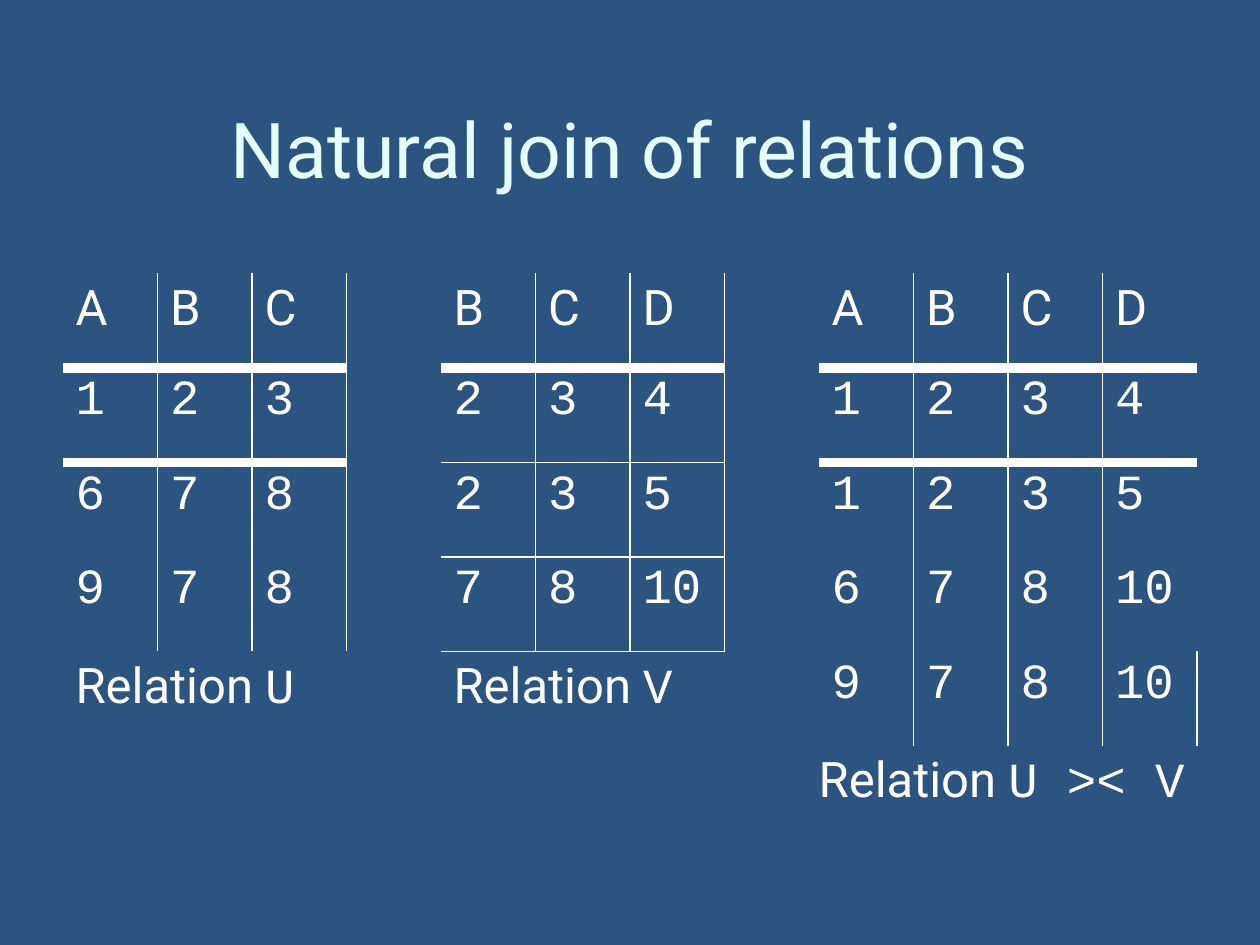
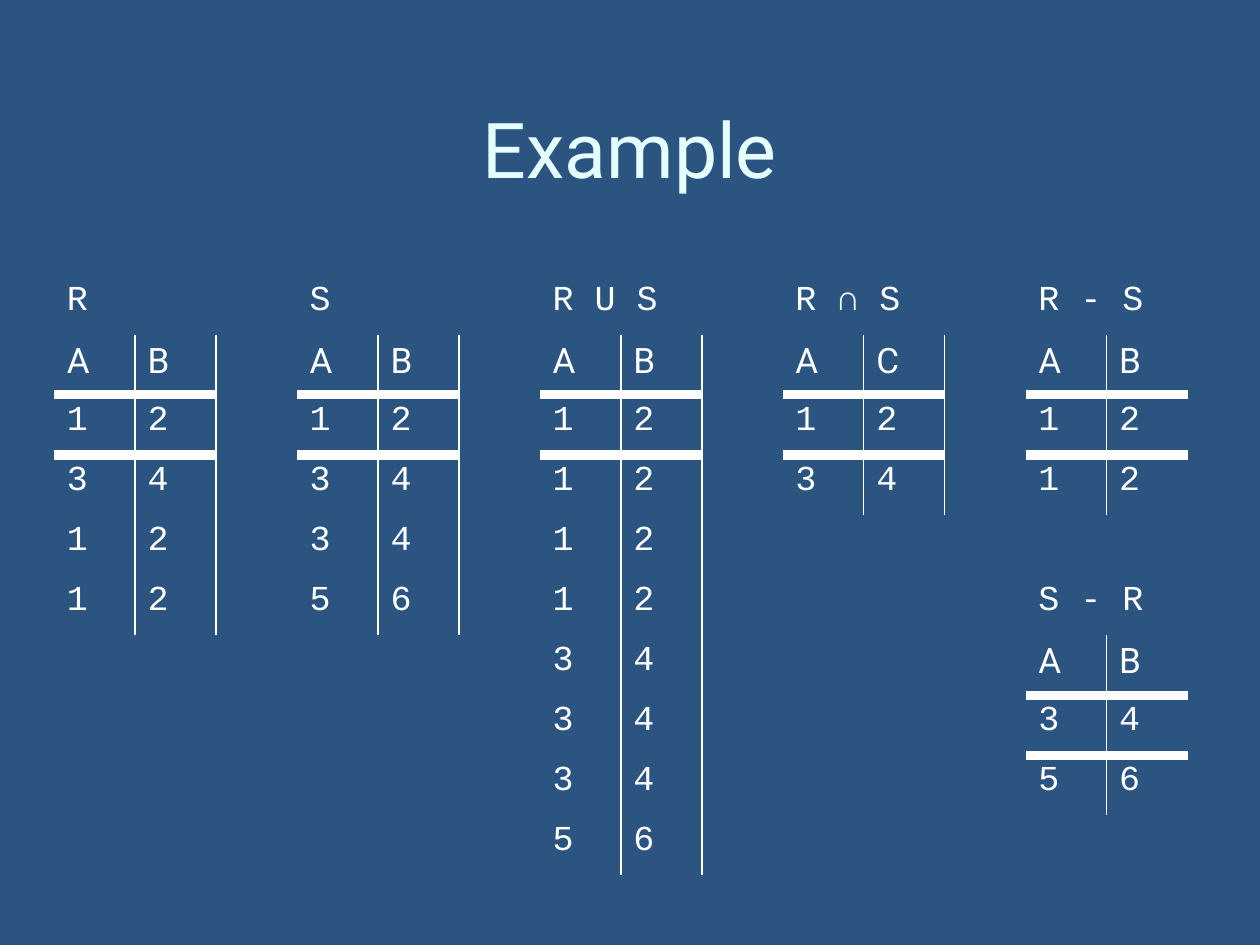
"""Build two slides that show relations as ruled tables."""
from dataclasses import dataclass

from lxml.etree import SubElement
from pptx import Presentation
from pptx.dml.color import RGBColor as Color
from pptx.enum.text import MSO_ANCHOR as Anchor, PP_ALIGN as Align
from pptx.oxml.ns import qn
from pptx.util import Inches, Pt


@dataclass(frozen=True)
class Theme:
    """Colours, fonts, type sizes and line weights of the deck."""
    background: str = "2B5481"
    title: str = "E5FFFF"
    text: str = "FFFFFF"
    sans: str = "Roboto"
    mono: str = "Courier New"
    title_size: int = 44
    join_size: int = 28
    example_size: int = 20
    thin: int = 1
    thick: int = 6
    plain_table: str = "{2D5ABB26-0587-4C30-8999-92F81FD0307C}"


THEME = Theme()

JOIN_RELATIONS = [
    (0, 0, "A B C", ["1 2 3", "6 7 8", "9 7 8"], False),
    (0, 4, "B C D", ["2 3 4", "2 3 5", "7 8 10"], True),
    (0, 8, "A B C D", ["1 2 3 4", "1 2 3 5", "6 7 8 10", "9 7 8 10"], False),
]
JOIN_CAPTIONS = [
    (4, 0, 3, "U", Align.LEFT),
    (4, 4, 3, "V", Align.LEFT),
    (5, 7, 5, "U >< V", Align.RIGHT),
]
EXAMPLE_RELATIONS = [
    (0, 0, 1, "R", "A B", ["1 2", "3 4", "1 2", "1 2"]),
    (0, 3, 1, "S", "A B", ["1 2", "3 4", "3 4", "5 6"]),
    (0, 6, 3, "R U S", "A B", ["1 2"] * 4 + ["3 4"] * 3 + ["5 6"]),
    (0, 9, 3, "R ∩ S", "A C", ["1 2", "3 4"]),
    (0, 12, 2, "R - S", "A B", ["1 2", "1 2"]),
    (5, 12, 2, "S - R", "A B", ["3 4", "5 6"]),
]


def style_font(font, size, color, name=None):
    """Set the size, colour and, if given, the typeface of a font."""
    font.size = Pt(size)
    font.color.rgb = Color.from_string(color)
    if name:
        font.name = name


def add_titled_slide(deck, title):
    """Add a blank slide with the shared background and a centred title."""
    page = deck.slides.add_slide(deck.slide_layouts[6])
    page.background.fill.solid()
    page.background.fill.fore_color.rgb = Color.from_string(THEME.background)
    box = page.shapes.add_textbox(Inches(0.5), Inches(0.42), Inches(9), Inches(1.5))
    box.text_frame.word_wrap = True
    box.text_frame.vertical_anchor = Anchor.MIDDLE
    para = box.text_frame.paragraphs[0]
    para.text = title
    para.alignment = Align.CENTER
    style_font(para.font, THEME.title_size, THEME.title, THEME.sans)
    return page


def add_grid(page, rows, columns, left, top, height):
    """Add an unstyled, unfilled table with equal rows and columns."""
    frame = page.shapes.add_table(
        rows, columns, Inches(left), Inches(top), Inches(9), Inches(height))
    frame.element.find(".//" + qn("a:tableStyleId")).text = THEME.plain_table
    table = frame.table
    table.first_row = table.horz_banding = False
    for cell in table.iter_cells():
        cell.fill.background()
    return table


def set_borders(cell, weights):
    """Draw cell borders from a mapping of side letter to weight in points."""
    properties = cell._tc.get_or_add_tcPr()
    lines = [side for side in "LRTB" if weights.get(side)]
    for position, side in enumerate(lines):
        line = SubElement(properties, qn(f"a:ln{side}"), w=str(Pt(weights[side])))
        fill = SubElement(line, qn("a:solidFill"))
        SubElement(fill, qn("a:srgbClr"), val=THEME.text)
        properties.insert(position, line)


def write_cell(cell, text, size, font):
    """Write text of one typeface into a cell."""
    para = cell.text_frame.paragraphs[0]
    para.text = text
    style_font(para.font, size, THEME.text, font)


def merge_across(table, row, column, span):
    """Merge cells along a row and return the leading cell."""
    cell = table.cell(row, column)
    if span > 1:
        cell.merge(table.cell(row, column + span - 1))
    return cell


def add_relation(table, top, left, header, tuples, size, ruled=False):
    """Write a relation with column rules and a thick rule below its header."""
    rows = [line.split() for line in [header, *tuples]]
    inner = THEME.thin if ruled else 0
    rules = [0, THEME.thick] + [inner] * (len(tuples) - 1) + [0]
    for row, values in enumerate(rows):
        font = THEME.mono if row else THEME.sans
        for column, value in enumerate(values):
            cell = table.cell(top + row, left + column)
            write_cell(cell, value, size, font)
            set_borders(cell, {
                "L": THEME.thin if column else 0,
                "R": THEME.thin if column < len(values) - 1 else 0,
                "T": rules[row],
                "B": rules[row + 1],
            })


def add_caption(table, row, column, span, expression, alignment):
    """Name a relation below its rows, with the expression in monospace."""
    para = merge_across(table, row, column, span).text_frame.paragraphs[0]
    para.alignment = alignment
    style_font(para.font, THEME.join_size, THEME.text)
    for text, font in [("Relation ", THEME.sans), (expression, THEME.mono)]:
        span_run = para.add_run()
        span_run.text = text
        span_run.font.name = font


def build_join_slide(deck):
    """Show two relations and their natural join."""
    page = add_titled_slide(deck, "Natural join of relations")
    table = add_grid(page, 6, 12, 0.5, 2.17, 4.5)
    for top, left, header, tuples, ruled in JOIN_RELATIONS:
        add_relation(table, top, left, header, tuples, THEME.join_size, ruled)
    for caption in JOIN_CAPTIONS:
        add_caption(table, *caption)


def build_example_slide(deck):
    """Show union, intersection and differences of two relations."""
    page = add_titled_slide(deck, "Example")
    table = add_grid(page, 10, 14, 0.43, 2.18, 4.77)
    for top, left, span, name, header, tuples in EXAMPLE_RELATIONS:
        write_cell(merge_across(table, top, left, span), name,
                   THEME.example_size, THEME.mono)
        add_relation(table, top + 1, left, header, tuples, THEME.example_size)


def main():
    """Build and save the deck."""
    deck = Presentation()
    deck.slide_width, deck.slide_height = Inches(10), Inches(7.5)
    build_join_slide(deck)
    build_example_slide(deck)
    deck.save("out.pptx")


if __name__ == "__main__":
    main()
